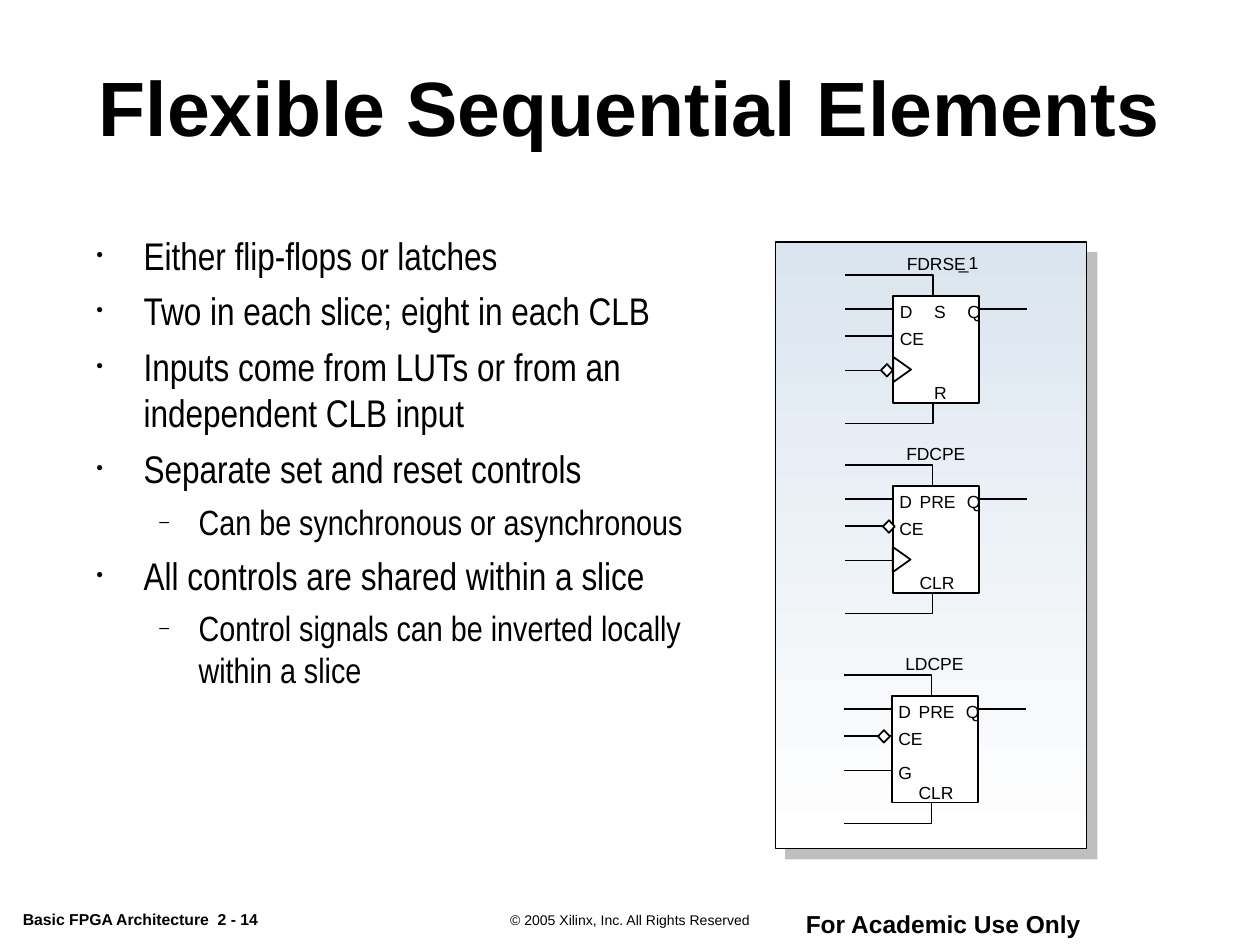
from dataclasses import dataclass

from lxml import etree
from pptx import Presentation
from pptx.dml.color import RGBColor
from pptx.enum.shapes import MSO_CONNECTOR, MSO_SHAPE
from pptx.enum.text import MSO_ANCHOR, MSO_AUTO_SIZE, PP_ALIGN
from pptx.oxml.ns import qn
from pptx.util import Cm, Pt

RECT, DIAMOND = MSO_SHAPE.RECTANGLE, MSO_SHAPE.DIAMOND
TRIANGLE = MSO_SHAPE.ISOSCELES_TRIANGLE
STRAIGHT = MSO_CONNECTOR.STRAIGHT
LEFT, CENTER = PP_ALIGN.LEFT, PP_ALIGN.CENTER
MIDDLE, TOP = MSO_ANCHOR.MIDDLE, MSO_ANCHOR.TOP
NO_FIT, GROW = MSO_AUTO_SIZE.NONE, MSO_AUTO_SIZE.SHAPE_TO_FIT_TEXT

COLORS = {"ink": "000000", "paper": "FFFFFF", "sky": "DBE5EF", "shade": "808080"}

# Flip-flop geometry in cm, measured from the top left of its box
WIDE, HIGH = 1.73, 2.15
WIRE = 0.97
ROWS = (0.26, 0.81, 1.5)
STEM, RISE = 0.8, 0.42


@dataclass
class Cell:
    name: str
    left: float
    top: float
    set_pin: str
    reset: str
    pin_x: float
    bubble: tuple[float, float]
    clock: bool = True


@dataclass
class Level:
    size: int
    mark: str
    margin: float
    indent: float
    space: float


@dataclass
class Note:
    text: str
    box: tuple[float, float, float, float]
    size: int
    bold: bool
    align: PP_ALIGN
    lines: float
    wrap: bool = True


CELLS = [
    Cell("FDRSE", 18.01, 5.97, "S", "R", 0.64, (-0.25, 1.37)),
    Cell("FDCPE", 18.0, 9.8, "PRE", "CLR", 0.36, (-0.2, 0.69)),
    Cell("LDCPE", 17.98, 14.03, "PRE", "CLR", 0.36, (-0.28, 0.69), False),
]
LEVELS = [Level(22, "•", 0.95, -0.95, 5.5), Level(20, "–", 2.06, -0.79, 5)]
POINTS = [
    (0, "Either flip-flops or latches"),
    (0, "Two in each slice; eight in each CLB"),
    (0, "Inputs come from LUTs or from an independent CLB input"),
    (0, "Separate set and reset controls"),
    (1, "Can be synchronous or asynchronous"),
    (0, "All controls are shared within a slice"),
    (1, "Control signals can be inverted locally within a slice"),
]
NOTES = [
    Note("Basic FPGA Architecture  2 - 14", (0.21, 18.29, 6.58, 0.56), 9, True, LEFT, 0.8),
    Note("© 2005 Xilinx, Inc. All Rights Reserved", (8.36, 18.31, 8.69, 0.53), 8, False, CENTER, 0.8),
    Note("For Academic Use Only", (15.98, 18.21, 6.07, 0.86), 14, True, CENTER, 1, False),
]


def color(key: str) -> RGBColor:
    return RGBColor.from_string(COLORS[key])


def style(para, size: float, bold: bool = False, face: str = "Arial") -> None:
    for run in para.runs:
        run.font.name, run.font.size, run.font.bold = face, Pt(size), bold
        run.font.color.rgb = color("ink")


def place(shape, left: float, top: float, width: float, height: float) -> None:
    shape.left, shape.top = Cm(left), Cm(top)
    shape.width, shape.height = Cm(width), Cm(height)


def label(shapes, text: str, left: float, top: float) -> None:
    width = 0.37 + 0.24 * len(text)
    frame = shapes.add_textbox(Cm(left), Cm(top), Cm(width), Cm(0.61)).text_frame
    frame.word_wrap = False
    frame.auto_size = GROW
    frame.margin_left = frame.margin_right = Cm(0.18)
    frame.margin_top = frame.margin_bottom = Cm(0.1)
    frame.text = text
    style(frame.paragraphs[0], 10)


def outline(shape, fill: str | None = None, width: float = 1) -> None:
    shape.shadow.inherit = False
    if fill:
        shape.fill.solid()
        shape.fill.fore_color.rgb = color(fill)
    else:
        shape.fill.background()
    shape.line.color.rgb = color("ink")
    shape.line.width = Pt(width)


def block(shapes, kind, box: tuple, fill: str | None = None):
    shape = shapes.add_shape(kind, *map(Cm, box))
    outline(shape, fill)
    return shape


def wire(shapes, start: float, end: float, y: float) -> None:
    line = shapes.add_connector(STRAIGHT, Cm(start), Cm(y), Cm(end), Cm(y))
    line.line.color.rgb = color("ink")
    line.line.width = Pt(1)
    etree.SubElement(line._element.spPr, qn("a:effectLst"))


def elbow(shapes, cell: Cell, start: float, end: float) -> None:
    x = cell.left + STEM
    path = shapes.build_freeform(Cm(x), Cm(start), scale=1.0)
    path.add_line_segments(
        [(Cm(x), Cm(end)), (Cm(cell.left - WIRE), Cm(end))], close=False)
    outline(path.convert_to_shape())


def draw_cell(shapes, cell: Cell) -> None:
    x, y = cell.left, cell.top
    block(shapes, RECT, (x, y, WIDE, HIGH), "paper")
    for row in ROWS:
        wire(shapes, x - WIRE, x, y + row)
    wire(shapes, x + WIDE, x + WIDE + WIRE, y + ROWS[0])
    elbow(shapes, cell, y, y - RISE)
    elbow(shapes, cell, y + HIGH, y + HIGH + RISE)
    if cell.clock:
        block(shapes, TRIANGLE, (x - 0.08, y + 1.3, 0.51, 0.36)).rotation = 90
    else:
        label(shapes, "G", x - 0.05, y + 1.24)
    for text, dx, dy in (
        (cell.name, 0.09, -0.97), ("D", -0.05, 0), ("CE", -0.05, 0.54),
        ("Q", 1.31, 0), (cell.set_pin, cell.pin_x, 0), (cell.reset, cell.pin_x, 1.63),
    ):
        label(shapes, text, x + dx, y + dy)
    dx, dy = cell.bubble
    block(shapes, DIAMOND, (x + dx, y + dy, 0.24, 0.25), "paper")


def draw_panel(shapes) -> None:
    panel = block(shapes, RECT, (15.63, 4.88, 6.27, 12.22))
    panel.line.width = Pt(0.75)
    panel.fill.gradient()
    panel.fill.gradient_angle = 270
    for stop, key in zip(panel.fill.gradient_stops, ("sky", "paper")):
        stop.color.rgb = color(key)
    effects = panel._element.spPr.find(qn("a:effectLst"))
    drop = etree.SubElement(effects, qn("a:outerShdw"), dist=str(Pt(8.5)),
                            dir="2700000", algn="ctr", rotWithShape="0")
    tint = etree.SubElement(drop, qn("a:srgbClr"), val=COLORS["shade"])
    etree.SubElement(tint, qn("a:alpha"), val="50000")


def bullet(para, level: Level) -> None:
    props = para._p.get_or_add_pPr()
    props.set("marL", str(Cm(level.margin)))
    props.set("indent", str(Cm(level.indent)))
    tint = etree.SubElement(props, qn("a:buClr"))
    etree.SubElement(tint, qn("a:srgbClr"), val=COLORS["ink"])
    etree.SubElement(props, qn("a:buSzPct"), val="50000")
    etree.SubElement(props, qn("a:buFont"), typeface="Arial")
    etree.SubElement(props, qn("a:buChar"), char=level.mark)


def draw_note(shapes, note: Note) -> None:
    frame = shapes.add_textbox(*map(Cm, note.box)).text_frame
    frame.word_wrap = note.wrap
    frame.text = note.text
    para = frame.paragraphs[0]
    para.alignment, para.line_spacing = note.align, note.lines
    style(para, note.size, note.bold)


def main() -> None:
    deck = Presentation()
    deck.slide_width, deck.slide_height = Cm(25.4), Cm(19.05)
    slide = deck.slides.add_slide(deck.slide_layouts[1])
    shapes = slide.shapes

    # Title
    title = shapes.title
    place(title, 1.69, 0.54, 22.02, 3.18)
    frame = title.text_frame
    frame.text = "Flexible Sequential Elements"
    frame.auto_size, frame.vertical_anchor = NO_FIT, MIDDLE
    frame.paragraphs[0].alignment = CENTER
    style(frame.paragraphs[0], 44, True)

    # Bullet list
    body = slide.placeholders[1]
    place(body, 1.69, 4.54, 12.5, 12.4)
    frame = body.text_frame
    frame.text = "\n".join(text for _, text in POINTS)
    frame.auto_size, frame.vertical_anchor = NO_FIT, TOP
    for i, (para, (depth, _)) in enumerate(zip(frame.paragraphs, POINTS)):
        level = LEVELS[depth]
        para.level = depth
        bullet(para, level)
        para.space_before = Pt(level.space if i else 0)
        style(para, level.size, face="Arial Narrow")

    # Diagram
    draw_panel(shapes)
    for cell in CELLS:
        draw_cell(shapes, cell)
    label(shapes, "_1", 19.15, 4.98)

    # Footer
    for note in NOTES:
        draw_note(shapes, note)

    deck.save("out.pptx")


if __name__ == "__main__":
    main()
